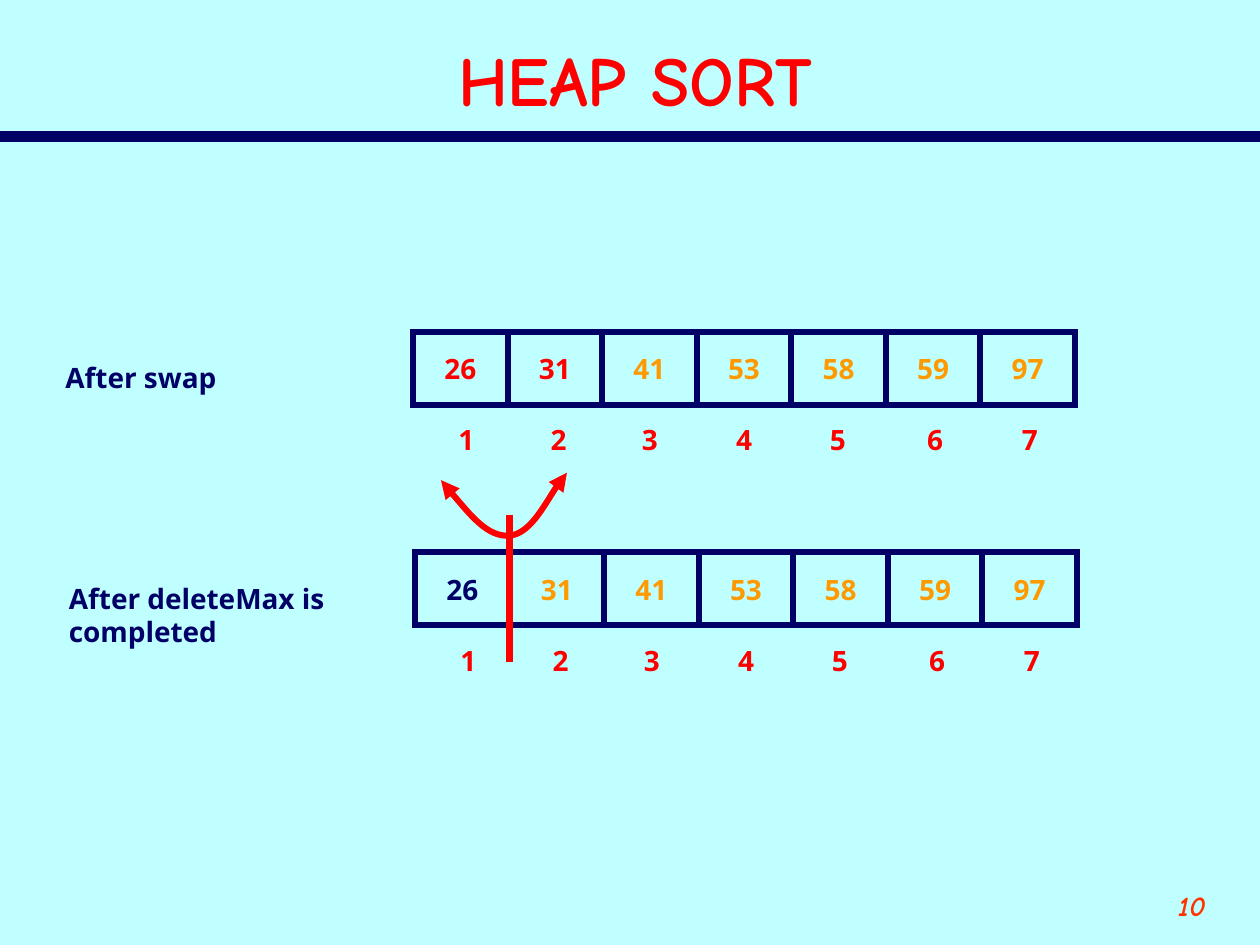
from dataclasses import dataclass

from lxml.etree import SubElement
from pptx import Presentation
from pptx.dml.color import RGBColor
from pptx.enum.shapes import MSO_CONNECTOR as CONN, MSO_SHAPE as SHAPE
from pptx.enum.text import MSO_ANCHOR as ANCHOR, MSO_AUTO_SIZE as FIT, PP_ALIGN as ALIGN
from pptx.oxml.ns import qn
from pptx.util import Cm, Pt

NAVY, RED, ORANGE = "000066", "FF0000", "FF9900"
BODY = dict(name="Noto Sans", size=Pt(16), bold=True)
COMIC = dict(name="Comic Neue", bold=True)
VALUES = (26, 31, 41, 53, 58, 59, 97)
CELL_W, CELL_H = 13.34 / len(VALUES), 1.48
INDEX_OFFSETS = (0.66, 2.52, 4.36, 6.26, 8.15, 10.11, 12.02)


@dataclass
class Label:
    text: str
    x: float
    y: float
    w: float
    h: float = 0.94
    color: str = NAVY


@dataclass
class ArrayRow:
    x: float
    y: float
    colors: list[str]
    caption: Label


def rgb(value: str) -> RGBColor:
    return RGBColor.from_string(value)


def format_text(tf, color: str, fmt: dict, align=ALIGN.LEFT) -> None:
    for p in tf.paragraphs:
        p.alignment = align
        for r in p.runs:
            for key, value in fmt.items():
                setattr(r.font, key, value)
            r.font.color.rgb = rgb(color)


def add_label(shapes, label: Label) -> None:
    box = shapes.add_textbox(Cm(label.x), Cm(label.y), Cm(label.w), Cm(label.h))
    tf = box.text_frame
    tf.text = label.text
    tf.word_wrap = False
    tf.auto_size = FIT.SHAPE_TO_FIT_TEXT
    format_text(tf, label.color, BODY)


def style_line(s, color: str, width: float) -> None:
    s.line.color.rgb = rgb(color)
    s.line.width = Pt(width)


def add_line(shapes, x1: float, y1: float, x2: float, y2: float,
             color: str, width: float) -> None:
    s = shapes.add_connector(CONN.STRAIGHT, Cm(x1), Cm(y1), Cm(x2), Cm(y2))
    style_line(s, color, width)
    SubElement(s._element.spPr, qn("a:effectLst"))


def add_row(slide, row: ArrayRow) -> None:
    shapes = slide.shapes.add_group_shape().shapes
    for i, (value, color) in enumerate(zip(VALUES, row.colors)):
        x = row.x + i * CELL_W
        cell = shapes.add_shape(SHAPE.RECTANGLE, Cm(x), Cm(row.y), Cm(CELL_W), Cm(CELL_H))
        cell.shadow.inherit = False
        cell.fill.background()
        style_line(cell, NAVY, 3.5)
        SubElement(cell.line._get_or_add_ln(), qn("a:miter"), lim="800000")
        add_label(shapes, Label(str(value), x + 0.38, row.y + 0.28, 1.18, color=color))
    for i, offset in enumerate(INDEX_OFFSETS, 1):
        add_label(shapes, Label(str(i), row.x + offset, row.y + 1.71, 0.83, color=RED))
    add_label(slide.shapes, row.caption)


def add_curve(shapes, points: list[tuple[float, float]]) -> None:
    """Draw a double-headed arrow: a start, then three points per Bezier segment."""
    start, *rest = [(Cm(x), Cm(y)) for x, y in points]
    builder = shapes.build_freeform(*start)
    builder.add_line_segments(rest, close=False)
    s = builder.convert_to_shape()
    s.shadow.inherit = False
    s.fill.background()
    style_line(s, RED, 3.5)
    path = next(s._element.iter(qn("a:path")))
    steps = path.findall(qn("a:lnTo"))
    for i in range(0, len(steps), 3):
        bezier = SubElement(path, qn("a:cubicBezTo"))
        for step in steps[i:i + 3]:
            bezier.append(step[0])
            path.remove(step)
    ln = s.line._get_or_add_ln()
    for end in ("a:headEnd", "a:tailEnd"):
        SubElement(ln, qn(end), type="triangle")


def main() -> None:
    prs = Presentation()
    prs.slide_width, prs.slide_height = Cm(25.4), Cm(19.05)
    slide = prs.slides.add_slide(prs.slide_layouts[5])
    shapes = slide.shapes
    slide.background.fill.solid()
    slide.background.fill.fore_color.rgb = rgb("BFFFFF")

    add_line(shapes, 0, 2.75, 25.4, 2.75, NAVY, 6)
    number = shapes.add_textbox(Cm(22.01), Cm(17.78), Cm(2.54), Cm(1.27))
    number.text_frame.word_wrap = True
    number.text_frame.text = "10"
    format_text(number.text_frame, "FF3300", COMIC | dict(size=Pt(16), italic=True),
                ALIGN.RIGHT)

    title = shapes.title
    title.left, title.top, title.width, title.height = Cm(1.05), Cm(0.64), Cm(23.5), Cm(1.9)
    tf = title.text_frame
    tf.text = "HEAP SORT"
    tf.auto_size = FIT.NONE
    tf.vertical_anchor = ANCHOR.MIDDLE
    format_text(tf, RED, COMIC | dict(size=Pt(40)), ALIGN.CENTER)

    add_row(slide, ArrayRow(8.33, 6.69, [RED] * 2 + [ORANGE] * 5,
                            Label("After swap", 1.07, 7.15, 3.56)))
    add_curve(shapes, [(8.89, 9.68), (9.37, 10.26), (9.83, 10.82), (10.26, 10.8),
                       (10.69, 10.77), (11.23, 9.73), (11.43, 9.53)])
    add_row(slide, ArrayRow(8.37, 11.13, [NAVY] + [ORANGE] * 6,
                            Label("After deleteMax is\ncompleted", 1.14, 11.59, 5.79, 1.63)))
    add_line(shapes, 10.27, 10.38, 10.27, 13.34, RED, 3.5)
    prs.save("out.pptx")


if __name__ == "__main__":
    main()
